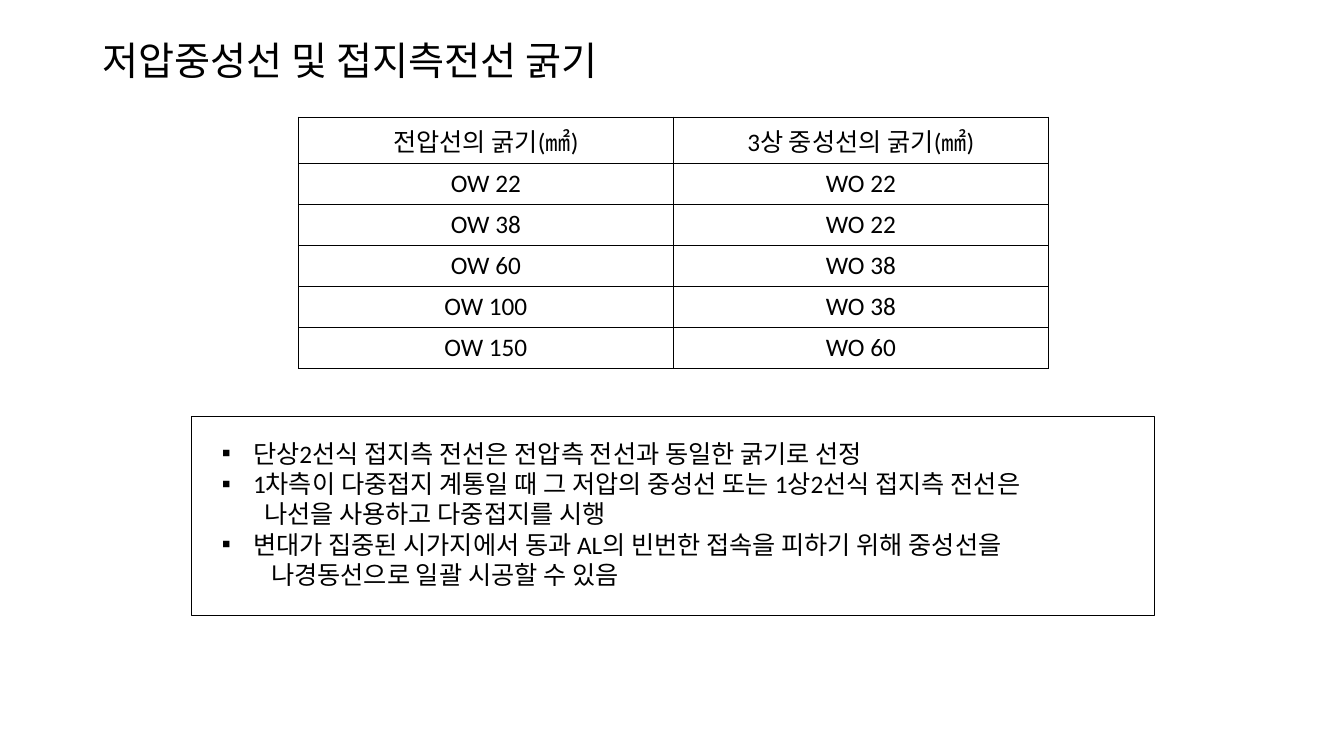
import pptx
import pptx.util
import pptx.dml.color
import pptx.enum.shapes
import pptx.enum.text
import pptx.oxml
import pptx.oxml.ns

WIDTH = pptx.util.Inches(13.33)
HEIGHT = pptx.util.Inches(7.5)
COLORS = {"ink": "000000", "paper": "FFFFFF"}
FONT = "Calibri"
ALIGN = pptx.enum.text.PP_ALIGN
ANCHOR = pptx.enum.text.MSO_ANCHOR

TITLE = "저압중성선 및 접지측전선 굵기"
WIRE_ROWS = [
    ("전압선의 굵기(㎟)", "3상 중성선의 굵기(㎟)"),
    ("OW 22", "WO 22"),
    ("OW 38", "WO 22"),
    ("OW 60", "WO 38"),
    ("OW 100", "WO 38"),
    ("OW 150", "WO 60"),
]
NOTES = [
    ("단상2선식 접지측 전선은 전압측 전선과 동일한 굵기로 선정", 0.31, "▪"),
    ("1차측이 다중접지 계통일 때 그 저압의 중성선 또는 1상2선식 접지측 전선은", 0.31, "▪"),
    ("나선을 사용하고 다중접지를 시행", 0.42, None),
    ("변대가 집중된 시가지에서 동과 AL의 빈번한 접속을 피하기 위해 중성선을", 0.31, "▪"),
    ("나경동선으로 일괄 시공할 수 있음", 0.49, None),
]


def color(name):
    return pptx.dml.color.RGBColor.from_string(COLORS[name])


def area(left, top, width, height):
    return (round(left * WIDTH), round(top * HEIGHT),
            round(width * WIDTH), round(height * HEIGHT))


def place(box, left, top, width, height):
    box.left, box.top, box.width, box.height = area(left, top, width, height)


def add_xml(parent, tag, content="", **attributes):
    pairs = "".join(f' {key}="{value}"' for key, value in attributes.items())
    namespace = pptx.oxml.ns.nsdecls("a")
    parent.append(pptx.oxml.parse_xml(f"<a:{tag} {namespace}{pairs}>{content}</a:{tag}>"))


def write(para, text, size=18, align=ALIGN.LEFT, spacing=1.0, indent=0, bullet=None):
    properties = para._p.get_or_add_pPr()
    margin = pptx.util.Inches(indent)
    properties.set("marL", str(margin))
    properties.set("indent", str(-margin if bullet else 0))
    if bullet:
        add_xml(properties, "buFont", typeface=FONT)
        add_xml(properties, "buChar", char=bullet)
    else:
        add_xml(properties, "buNone")
    para.alignment = align
    para.line_spacing = spacing
    para.space_before = pptx.util.Pt(0)
    span = para.add_run()
    span.text = text
    span.font.name = FONT
    span.font.size = pptx.util.Pt(size)
    span.font.bold = False
    span.font.color.rgb = color("ink")


def add_title(page):
    title = page.shapes.title
    place(title, 0.069, 0.045, 0.863, 0.076)
    title.text_frame.auto_size = pptx.enum.text.MSO_AUTO_SIZE.NONE
    title.text_frame.vertical_anchor = ANCHOR.MIDDLE
    write(title.text_frame.paragraphs[0], TITLE, size=28, spacing=0.9)


def add_borders(cell):
    properties = cell._tc.get_or_add_tcPr()
    line = f'<a:solidFill><a:srgbClr val="{COLORS["ink"]}"/></a:solidFill>'
    for side in ("lnL", "lnR", "lnT", "lnB"):
        add_xml(properties, side, line, w=pptx.util.Pt(1))


def add_wire_table(page):
    frame = page.shapes.add_table(len(WIRE_ROWS), 2, *area(0.222, 0.155, 0.558, 0.324))
    table = frame.table
    table.first_row = False
    table.horz_banding = False
    for row, texts in enumerate(WIRE_ROWS):
        for column, text in enumerate(texts):
            cell = table.cell(row, column)
            add_borders(cell)
            cell.fill.solid()
            cell.fill.fore_color.rgb = color("paper")
            write(cell.text_frame.paragraphs[0], text, align=ALIGN.CENTER)


def add_note_frame(page):
    box = page.shapes.add_shape(pptx.enum.shapes.MSO_SHAPE.RECTANGLE,
                                *area(0.1425, 0.551, 0.7165, 0.263))
    box.shadow.inherit = False
    box.fill.background()
    box.line.color.rgb = color("ink")
    box.line.width = pptx.util.Pt(1)


def add_notes(page):
    body = page.placeholders[1]
    place(body, 0.1575, 0.573, 0.66, 0.216)
    frame = body.text_frame
    frame.word_wrap = False
    frame.auto_size = pptx.enum.text.MSO_AUTO_SIZE.NONE
    frame.vertical_anchor = ANCHOR.TOP
    for number, (text, indent, bullet) in enumerate(NOTES):
        para = frame.add_paragraph() if number else frame.paragraphs[0]
        write(para, text, indent=indent, bullet=bullet)


def main():
    deck = pptx.Presentation()
    deck.slide_width, deck.slide_height = WIDTH, HEIGHT
    page = deck.slides.add_slide(deck.slide_layouts[1])
    add_title(page)
    add_wire_table(page)
    add_note_frame(page)
    add_notes(page)
    deck.save("out.pptx")


if __name__ == "__main__":
    main()
